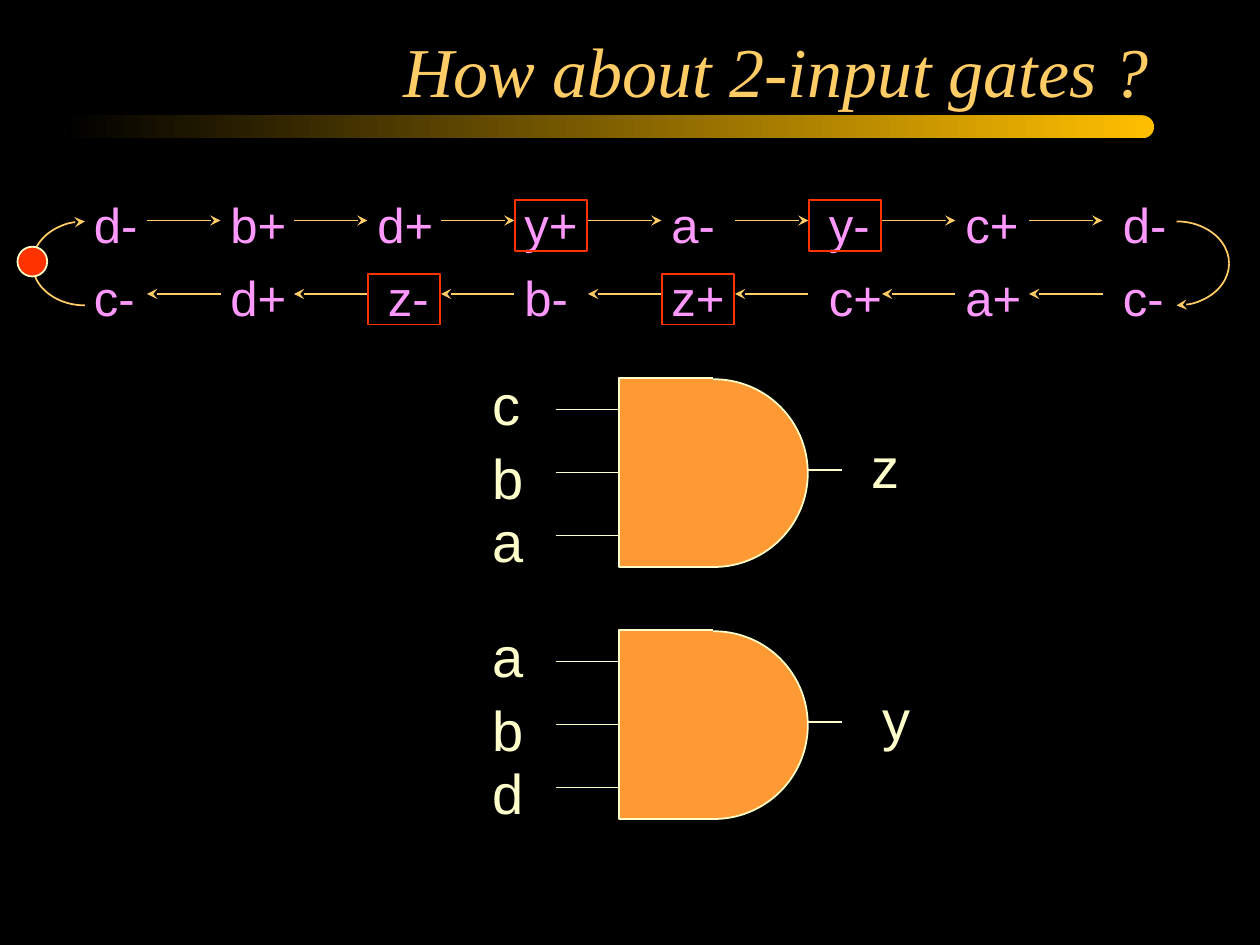
from lxml.etree import SubElement
from pptx import Presentation
from pptx.dml.color import RGBColor
from pptx.enum.shapes import MSO_CONNECTOR, MSO_SHAPE
from pptx.enum.text import MSO_AUTO_SIZE, PP_ALIGN
from pptx.oxml.ns import qn
from pptx.util import Pt

BLACK = RGBColor(0x00, 0x00, 0x00)
GOLD = RGBColor(0xFF, 0xBF, 0x00)
SAND = RGBColor(0xFF, 0xCC, 0x66)
CREAM = RGBColor(0xFF, 0xFF, 0xCC)
ORANGE = RGBColor(0xFF, 0x99, 0x33)
PINK = RGBColor(0xFF, 0x99, 0xFF)
RED = RGBColor(0xFF, 0x33, 0x00)

LINE = MSO_CONNECTOR.STRAIGHT
OVAL, RECT = MSO_SHAPE.OVAL, MSO_SHAPE.RECTANGLE
ARC, ROUND = MSO_SHAPE.ARC, MSO_SHAPE.ROUNDED_RECTANGLE
FIT = MSO_AUTO_SIZE.SHAPE_TO_FIT_TEXT
LEFT, RIGHT = PP_ALIGN.LEFT, PP_ALIGN.RIGHT

TITLE = {"size": Pt(40), "name": "Times New Roman", "italic": True}
PIN = {"size": Pt(32), "name": "Arial"}
EVENT = {"size": Pt(28), "name": "Arial"}
# Glyph widths in ems, used to size the label boxes
EMS = {"+": 0.58, "-": 0.33, "c": 0.5, "y": 0.5, "z": 0.5}

prs = Presentation()
prs.slide_width, prs.slide_height = Pt(720), Pt(540)
slide = prs.slides.add_slide(prs.slide_layouts[6])
slide.background.fill.solid()
slide.background.fill.fore_color.rgb = BLACK
shapes = slide.shapes


def paint(shape, color, tip=None):
    """Give a shape or connector a thin line, an optional arrowhead, no shadow."""
    shape.line.color.rgb = color
    shape.line.width = Pt(1)
    props = shape._element.spPr
    if tip:
        SubElement(props.find(qn("a:ln")), qn("a:" + tip), type="stealth")
    SubElement(props, qn("a:effectLst"))


def write(words, x, y, font, color, width=None, align=LEFT):
    """Add a one-line text box as wide as its glyphs unless a width is given."""
    size = font["size"].pt
    width = width or 14.4 + size * sum(EMS.get(c, 0.556) for c in words)
    box = shapes.add_textbox(Pt(x), Pt(y), Pt(width), Pt(size * 1.2 + 7.2))
    frame = box.text_frame
    frame.word_wrap = False
    frame.auto_size = FIT
    para = frame.paragraphs[0]
    para.alignment = align
    run = para.add_run()
    run.text = words
    for key, value in font.items():
        setattr(run.font, key, value)
    run.font.color.rgb = color


# Title and fading bar
bar = shapes.add_shape(ROUND, Pt(36), Pt(66), Pt(623.5), Pt(13))
bar.adjustments[0] = 0.5
bar.shadow.inherit = False
bar.line.fill.background()
bar.fill.gradient()
bar.fill.gradient_angle = 180
for stop, color in zip(bar.fill.gradient_stops, (GOLD, BLACK)):
    stop.color.rgb = color
write("How about 2-input gates ?", 223.2, 12.2, TITLE, SAND, 440.6, RIGHT)

# Gates: top, input names, output name and its left edge
for top, pins, out, edge in ((216, "cba", "z", 491), (360, "abd", "y", 497)):
    dome = shapes.add_shape(OVAL, Pt(354.3), Pt(top + 0.7), Pt(107.3), Pt(107.3))
    pen = shapes.build_freeform(Pt(407.5), Pt(top))
    pen.add_line_segments([(Pt(353.5), Pt(top)), (Pt(353.5), Pt(top + 108)),
                           (Pt(407.5), Pt(top + 108))], close=False)
    for part in (dome, pen.convert_to_shape()):
        paint(part, CREAM)
        part.fill.solid()
        part.fill.fore_color.rgb = ORANGE
    for x, end, drop in ((462, 481, 52.6), (317.5, 353.5, 18),
                         (317.5, 353.5, 54), (317.5, 353.5, 90)):
        y = Pt(top + drop)
        paint(shapes.add_connector(LINE, Pt(x), y, Pt(end), y), CREAM)
    for pin, drop in zip(pins, (-8.6, 33.8, 69.8)):
        write(pin, 274.5, top + drop, PIN, CREAM)
    write(out, edge, top + 27.4, PIN, CREAM)

# Event chain: line height, arrowhead end, events, boxed and shifted columns
ROWS = (
    (126, "tailEnd", "d- b+ d+ y+ a- y- c+ d-", (3, 5), (0, 5, 7)),
    (168, "headEnd", "c- d+ z- b- z+ c+ a+ c-", (2, 4), (0, 2, 5, 7)),
)
STEP = 84
for y, tip, events, boxed, moved in ROWS:
    for col in range(1, 8):
        x = col * STEP
        wire = shapes.add_connector(LINE, Pt(x), Pt(y), Pt(x + 42), Pt(y))
        paint(wire, SAND, tip)
    for col, event in enumerate(events.split()):
        x = 40.6 + col * STEP + (6 if col in moved else 0)
        write(event, x, y - 18.5, EVENT, PINK)
    for col in boxed:
        box = shapes.add_shape(RECT, Pt(42.3 + col * STEP), Pt(y - 11.6),
                               Pt(41), Pt(29))
        paint(box, RED)
        box.fill.background()

# Quarter arcs that close the loop: left edge, start and end degrees
for x, start, end, tip in ((18.5, 180, 270, "tailEnd"), (18.5, 90, 180, None),
                           (642.3, 270, 0, None), (642.3, 0, 90, "tailEnd")):
    arc = shapes.add_shape(ARC, Pt(x), Pt(126.5), Pt(60), Pt(48))
    arc.adjustments[0] = start * 0.6
    arc.adjustments[1] = end * 0.6
    paint(arc, SAND, tip)
    arc.fill.background()

# Token
token = shapes.add_shape(OVAL, Pt(10), Pt(141), Pt(17), Pt(17))
paint(token, CREAM)
token.fill.solid()
token.fill.fore_color.rgb = RED

prs.save("out.pptx")
